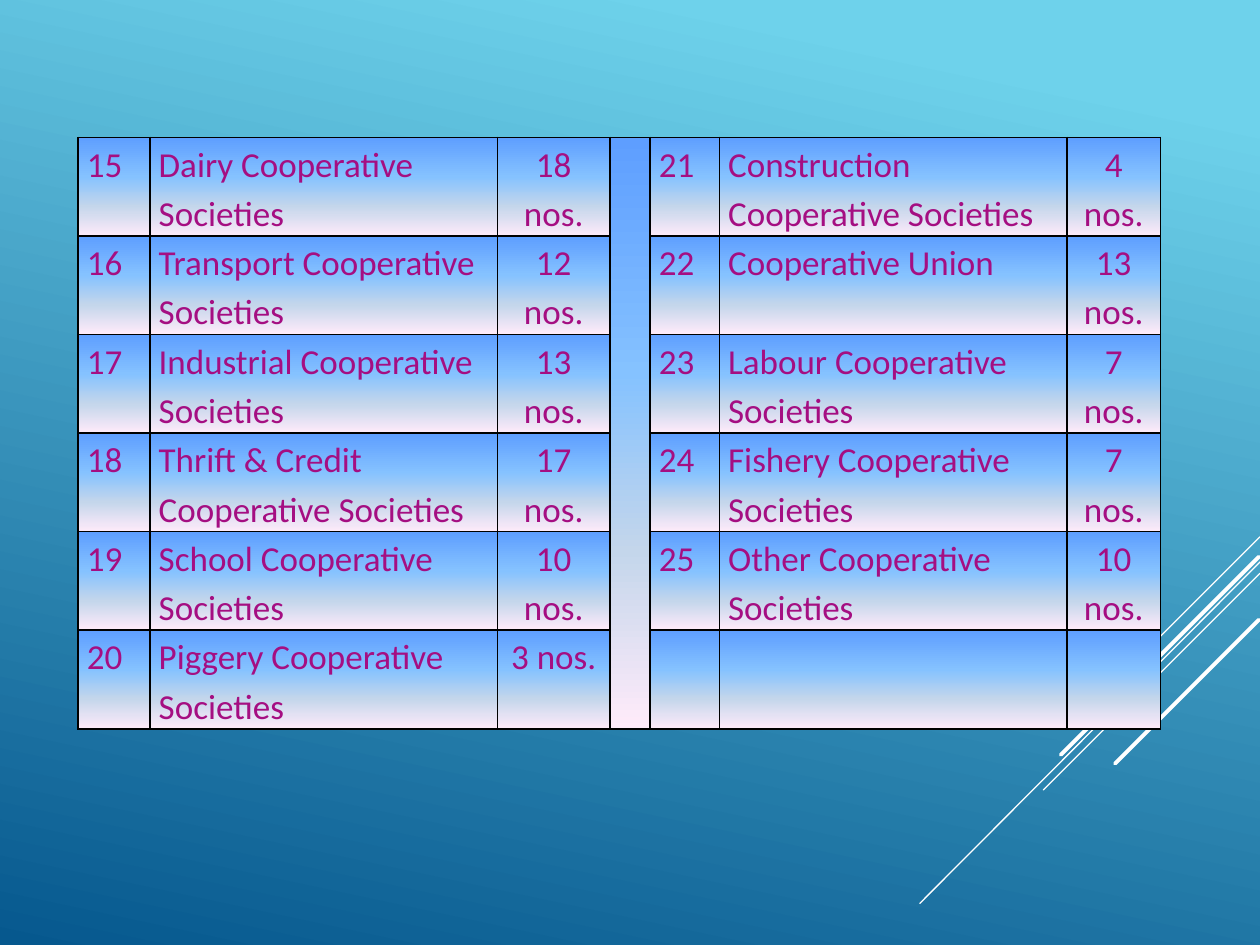
from lxml import etree
from pptx import Presentation
from pptx.dml.color import RGBColor
from pptx.enum.shapes import MSO_CONNECTOR
from pptx.enum.text import PP_ALIGN
from pptx.oxml.ns import qn
from pptx.util import Inches, Pt

COL_WIDTHS = [0.57, 2.76, 0.89, 0.32, 0.55, 2.76, 0.74]
ROW_HEIGHT = 0.77
GAP_COL = 3
COUNT_COLS = (2, 6)
CELL_STOPS = [(0, "5E9EFF"), (40, "85C2FF"), (70, "C4D6EB"), (100, "FFEBFA")]
CELL_FORMAT = {"margin_left": Inches(0.07), "margin_right": Inches(0.07),
               "margin_top": 0, "margin_bottom": 0}
FONT_FORMAT = {"name": "Calibri", "size": Pt(20), "bold": False}

SOCIETIES = [
    ("Dairy Cooperative Societies", 18),
    ("Transport Cooperative Societies", 12),
    ("Industrial Cooperative Societies", 13),
    ("Thrift & Credit Cooperative Societies", 17),
    ("School Cooperative Societies", 10),
    ("Piggery Cooperative Societies", 3),
    ("Construction Cooperative Societies", 4),
    ("Cooperative Union", 13),
    ("Labour Cooperative Societies", 7),
    ("Fishery Cooperative Societies", 7),
    ("Other Cooperative Societies", 10),
]
FIRST_NUMBER = 15
ROWS = 6

# x1, y1, x2, y2, width in points
DIAGONALS = [
    (10, 4.26, 9.17, 5.09, 0.75),
    (10, 4.46, 7.3, 7.17, 0.75),
    (10, 4.55, 8.28, 6.27, 0.75),
    (9.99, 4.42, 8.42, 5.99, 2.25),
    (9.99, 4.92, 8.85, 6.06, 2.25),
]


def add_color(parent, color):
    etree.SubElement(parent, qn("a:srgbClr"), val=color)


def add_gradient(parent, stops, angle):
    """Append a linear gradient; stops are (percent, hex), angle is clockwise degrees."""
    grad = etree.SubElement(parent, qn("a:gradFill"), rotWithShape="1")
    gs_list = etree.SubElement(grad, qn("a:gsLst"))
    for pos, color in stops:
        add_color(etree.SubElement(gs_list, qn("a:gs"), pos=str(pos * 1000)), color)
    etree.SubElement(grad, qn("a:lin"), ang=str(angle * 60000), scaled="0")


prs = Presentation()
prs.slide_width, prs.slide_height = Inches(10), Inches(7.5)
s = prs.slides.add_slide(prs.slide_layouts[6])

# Background
s.background.fill.solid()
bg = s.element.find(".//" + qn("p:bgPr"))
bg.remove(bg.find(qn("a:solidFill")))
add_gradient(bg, [(10, "6ED2EB"), (100, "06588E")], 102)
bg.insert(0, bg[-1])

# Diagonal lines
for x1, y1, x2, y2, width in DIAGONALS:
    line = s.shapes.add_connector(MSO_CONNECTOR.STRAIGHT, Inches(x1), Inches(y1),
                                  Inches(x2), Inches(y2))
    line.line.color.rgb = RGBColor.from_string("FFFFFF")
    line.line.width = Pt(width)
    sp_pr = line._element.spPr
    sp_pr.find(qn("a:ln")).set("cap", "rnd")
    etree.SubElement(sp_pr, qn("a:effectLst"))

# Table
table = s.shapes.add_table(ROWS, len(COL_WIDTHS), Inches(0.62), Inches(1.09),
                           Inches(sum(COL_WIDTHS)), Inches(ROWS * ROW_HEIGHT)).table
table.first_row = table.horz_banding = False
for col, width in zip(table.columns, COL_WIDTHS):
    col.width = Inches(width)
for row in table.rows:
    row.height = Inches(ROW_HEIGHT)
table.cell(0, GAP_COL).merge(table.cell(ROWS - 1, GAP_COL))

for cell in table.iter_cells():
    for name, value in CELL_FORMAT.items():
        setattr(cell, name, value)
    tc_pr = cell._tc.get_or_add_tcPr()
    for side in ("lnL", "lnR", "lnT", "lnB"):
        ln = etree.SubElement(tc_pr, qn(f"a:{side}"), w=str(Pt(1)))
        add_color(etree.SubElement(ln, qn("a:solidFill")), "000000")
    add_gradient(tc_pr, CELL_STOPS, 90)

# The list fills the left half, then the right half
for i, (society, count) in enumerate(SOCIETIES):
    half, row = divmod(i, ROWS)
    first_col = half * (GAP_COL + 1)
    texts = (str(FIRST_NUMBER + i), society, f"{count} nos.")
    for col, text in enumerate(texts, first_col):
        p = table.cell(row, col).text_frame.paragraphs[0]
        p.line_spacing = 1.15
        p.alignment = PP_ALIGN.CENTER if col in COUNT_COLS else PP_ALIGN.LEFT
        r = p.add_run()
        r.text = text
        for name, value in FONT_FORMAT.items():
            setattr(r.font, name, value)
        r.font.color.rgb = RGBColor.from_string("A50E82")

prs.save("out.pptx")
